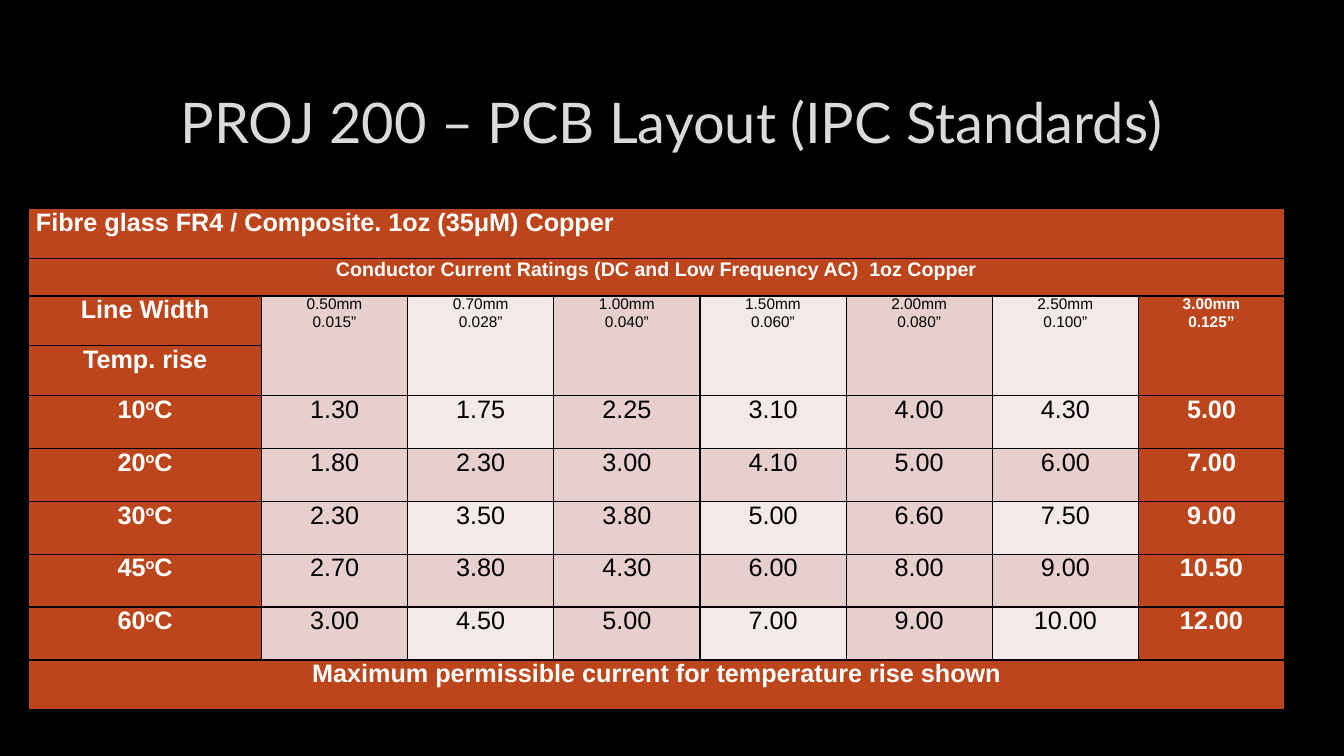
import pptx
import pptx.dml.color
import pptx.enum.text
import pptx.oxml
import pptx.oxml.ns
import pptx.util
from lxml import etree

TITLE = "PROJ 200 – PCB Layout (IPC Standards)"
MATERIAL = "Fibre glass FR4 / Composite. 1oz (35μM) Copper"
RATINGS = "Conductor Current Ratings (DC and Low Frequency AC)  1oz Copper"
FOOTER = "Maximum permissible current for temperature rise shown"
ROW_LABELS = ["Line Width", "Temp. rise"]
LINE_WIDTHS = [
    ("0.50mm", "0.015”"), ("0.70mm", "0.028”"), ("1.00mm", "0.040”"),
    ("1.50mm", "0.060”"), ("2.00mm", "0.080”"), ("2.50mm", "0.100”"),
    ("3.00mm", "0.125”"),
]
CURRENTS = [
    ("10", ["1.30", "1.75", "2.25", "3.10", "4.00", "4.30", "5.00"]),
    ("20", ["1.80", "2.30", "3.00", "4.10", "5.00", "6.00", "7.00"]),
    ("30", ["2.30", "3.50", "3.80", "5.00", "6.60", "7.50", "9.00"]),
    ("45", ["2.70", "3.80", "4.30", "6.00", "8.00", "9.00", "10.50"]),
    ("60", ["3.00", "4.50", "5.00", "7.00", "9.00", "10.00", "12.00"]),
]
THEME = {
    "background": "000000", "title": "DADADA", "outline": "404040",
    "accent": "BC451B", "dark": "E7CFCD", "light": "F3E9E8",
    "on_accent": "FFFFFF", "ink": "000000", "border": "000000",
    "title_font": "Lato", "table_font": "Arial",
    "title_size": 40, "body_size": 18, "ratings_size": 14, "width_size": 11,
}
Pt = pptx.util.Pt
ALIGN = pptx.enum.text.PP_ALIGN
LABEL_WIDTH, VALUE_WIDTH = 166.3, 104.4
LABEL_HEIGHT, RATINGS_HEIGHT, VALUE_HEIGHT = 35.5, 27, 37.8
HEADER_ROW, FIRST_VALUE_ROW = 2, 4


def rgb(name):
    return pptx.dml.color.RGBColor.from_string(THEME[name])


def write(tf, text, size="body_size", color="on_accent", bold=True,
          font="table_font", align=ALIGN.CENTER):
    for i, line in enumerate(text.split("\n")):
        p = tf.add_paragraph() if i else tf.paragraphs[0]
        p.alignment = align
        for j, part in enumerate(line.split("^")):
            r = p.add_run()
            r.text = part
            r.font.name = THEME[font]
            r.font.size = Pt(THEME[size])
            r.font.bold = bold
            r.font.color.rgb = rgb(color)
            if j % 2:
                r.font._element.set("baseline", "30000")


def line_xml(tag, color, width, alpha=100):
    return pptx.oxml.parse_xml(
        f'<a:{tag} {pptx.oxml.ns.nsdecls("a")} w="{Pt(width)}"><a:solidFill>'
        f'<a:srgbClr val="{THEME[color]}"><a:alpha val="{alpha * 1000}"/>'
        f'</a:srgbClr></a:solidFill><a:prstDash val="solid"/></a:{tag}>')


def add_title(s):
    title = s.shapes.title
    title.left, title.top, title.width, title.height = (
        Pt(72), Pt(48.2), Pt(815), Pt(76.3))
    tf = title.text_frame
    tf.word_wrap = True
    tf.vertical_anchor = pptx.enum.text.MSO_ANCHOR.MIDDLE
    write(tf, TITLE, size="title_size", color="title", bold=False,
          font="title_font")
    r = tf.paragraphs[0].runs[0]
    r.font._element.insert(0, line_xml("ln", "outline", 0.75, alpha=10))


def format_cell(cell):
    cell.margin_left = cell.margin_right = Pt(5.2)
    cell.margin_top = cell.margin_bottom = 0
    tcPr = cell._tc.get_or_add_tcPr()
    for side in ("lnL", "lnR", "lnT", "lnB"):
        tcPr.append(line_xml(side, "border", 1))
    cell.fill.solid()
    cell.fill.fore_color.rgb = rgb("accent")


def add_table(s):
    widths = [LABEL_WIDTH] + [VALUE_WIDTH] * len(LINE_WIDTHS)
    heights = ([LABEL_HEIGHT, RATINGS_HEIGHT] + [LABEL_HEIGHT] * 2
               + [VALUE_HEIGHT] * len(CURRENTS) + [LABEL_HEIGHT])
    table = s.shapes.add_table(
        len(heights), len(widths), Pt(20.5), Pt(149),
        Pt(sum(widths)), Pt(sum(heights))).table
    table.first_row = table.horz_banding = False
    for column, width in zip(table.columns, widths):
        column.width = Pt(width)
    for row, height in zip(table.rows, heights):
        row.height = Pt(height)
    for cell in table.iter_cells():
        format_cell(cell)

    last_row, last_col = len(heights) - 1, len(widths) - 1
    banners = [(0, MATERIAL, "body_size", ALIGN.LEFT),
               (1, RATINGS, "ratings_size", ALIGN.CENTER),
               (last_row, FOOTER, "body_size", ALIGN.CENTER)]
    for row, text, size, align in banners:
        table.cell(row, 0).merge(table.cell(row, last_col))
        write(table.cell(row, 0).text_frame, text, size=size, align=align)
    for row, label in enumerate(ROW_LABELS, HEADER_ROW):
        write(table.cell(row, 0).text_frame, label)

    def write_value(row, col, text, size, banded):
        cell = table.cell(row, col)
        emphasised = col == last_col
        if not emphasised:
            shade = "light" if banded and col % 2 == 0 else "dark"
            cell.fill.fore_color.rgb = rgb(shade)
        write(cell.text_frame, text, size=size, bold=emphasised,
              color="on_accent" if emphasised else "ink")

    for col, pair in enumerate(LINE_WIDTHS, 1):
        table.cell(HEADER_ROW, col).merge(table.cell(HEADER_ROW + 1, col))
        write_value(HEADER_ROW, col, "\n".join(pair), "width_size", True)
    for i, (rise, currents) in enumerate(CURRENTS):
        row = FIRST_VALUE_ROW + i
        write(table.cell(row, 0).text_frame, f"{rise}^o^C")
        for col, current in enumerate(currents, 1):
            write_value(row, col, current, "body_size", i % 2 == 0)


def main():
    prs = pptx.Presentation()
    prs.slide_width, prs.slide_height = Pt(960), Pt(540)
    s = prs.slides.add_slide(prs.slide_layouts[5])
    s.background.fill.solid()
    s.background.fill.fore_color.rgb = rgb("background")
    add_title(s)
    add_table(s)
    prs.save("out.pptx")


if __name__ == "__main__":
    main()
